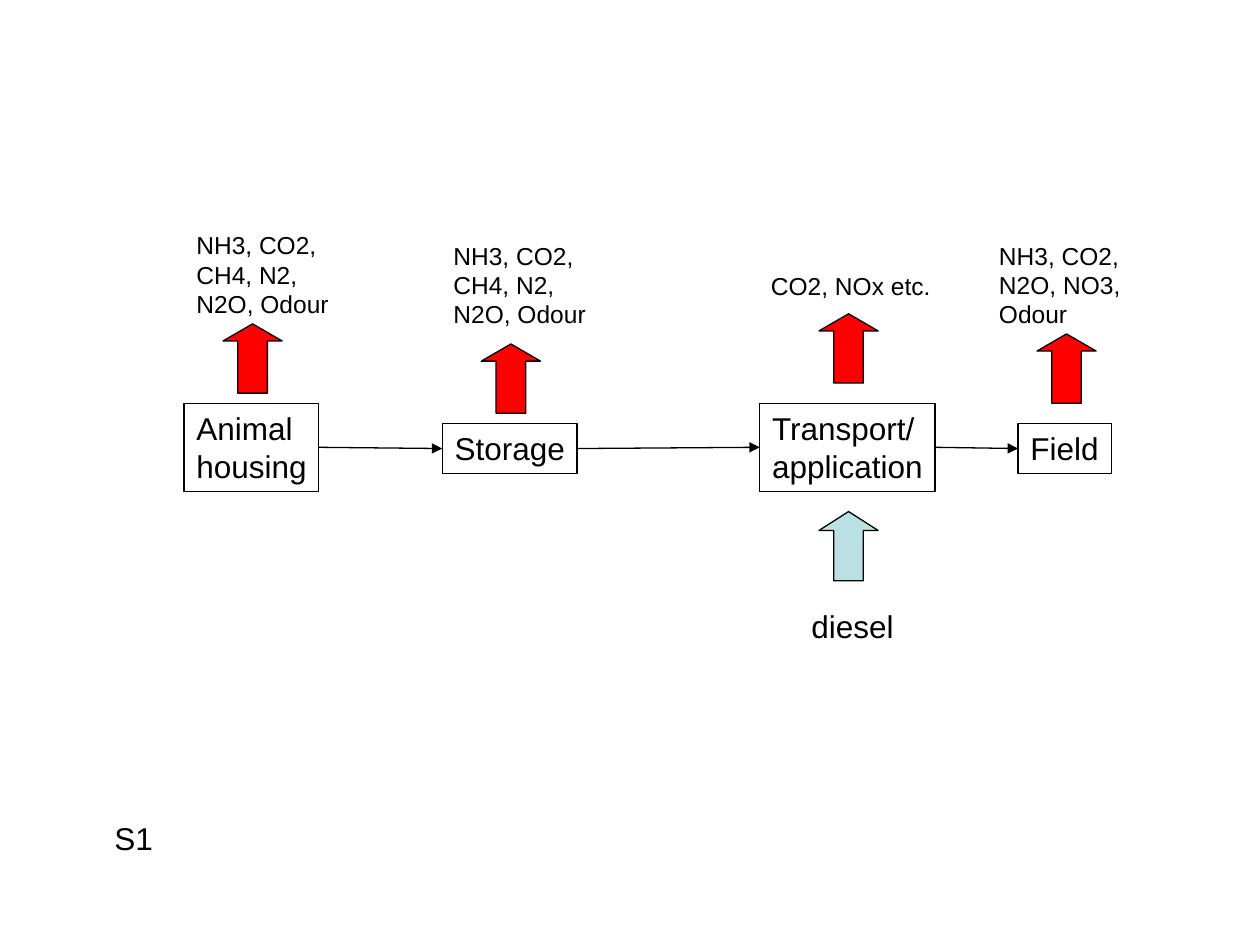
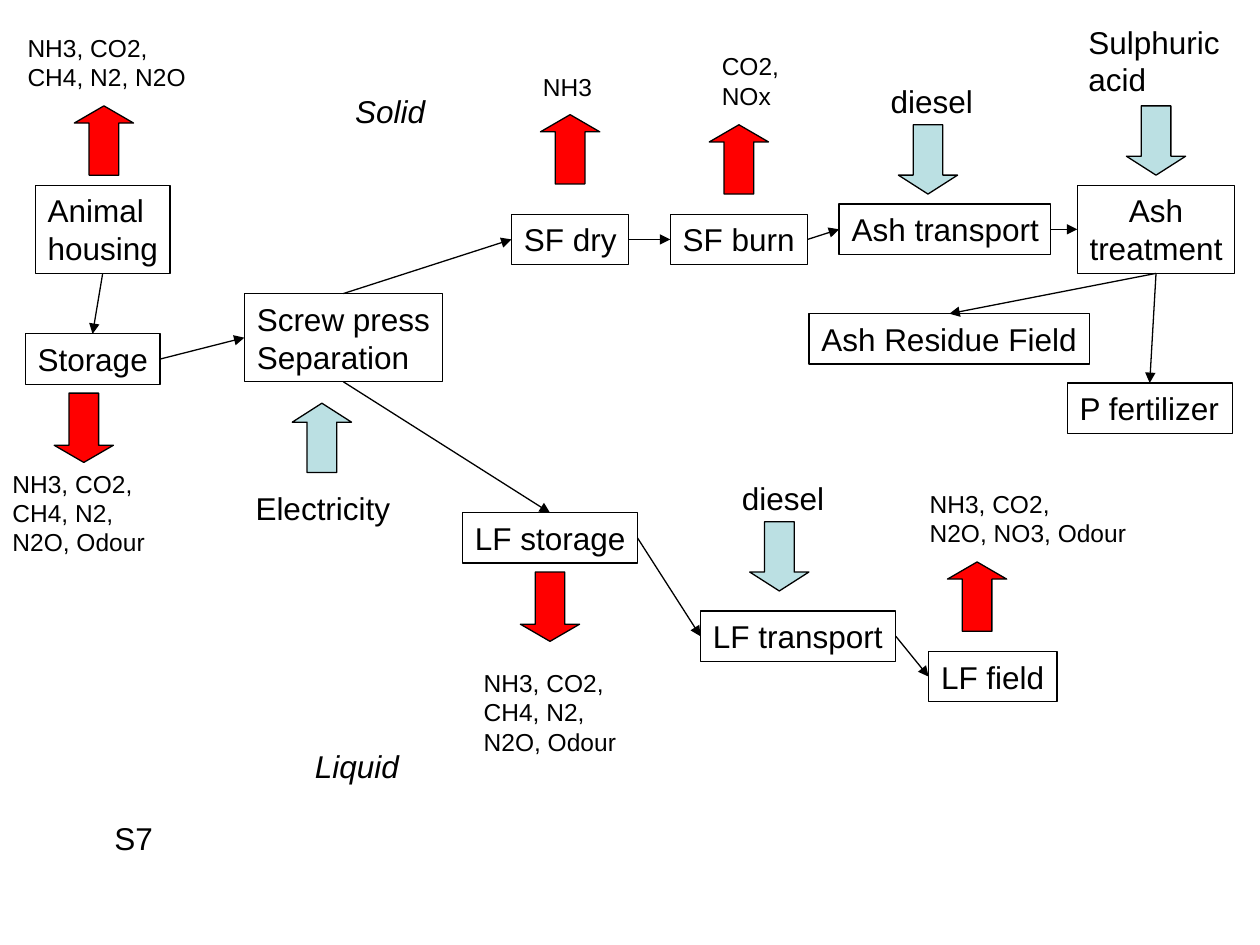
from dataclasses import dataclass
from typing import NamedTuple

from lxml.etree import SubElement
from pptx import Presentation
from pptx.dml.color import RGBColor
from pptx.enum.shapes import MSO_CONNECTOR, MSO_SHAPE
from pptx.enum.text import MSO_ANCHOR, MSO_AUTO_SIZE, PP_ALIGN
from pptx.oxml.ns import qn
from pptx.util import Inches, Pt

BLACK = "000000"
EMISSION, SUPPLY = "FF0000", "BBE0E3"
HEAD = {EMISSION: 0.29, SUPPLY: 0.32}
ARROW_W, ARROW_H = 0.47, 0.55
FONT = "Arial"
STEP_PT, GAS_PT = 18, 14
LINE_HEIGHT = {STEP_PT: 0.3, GAS_PT: 0.235}
SIDE_MARGINS = {PP_ALIGN.LEFT: (0.1, 0), PP_ALIGN.CENTER: (0.05, 0.05)}
FRAME = {
    "margin_top": Inches(0.05), "margin_bottom": Inches(0.05),
    "word_wrap": True, "auto_size": MSO_AUTO_SIZE.NONE,
    "vertical_anchor": MSO_ANCHOR.TOP,
}
TOP, LEFT, BOTTOM, RIGHT = range(4)  # connection sites of a rectangle
GASES = "NH3, CO2,\nCH4, N2,\nN2O, Odour"


class Step(NamedTuple):
    text: str
    left: float
    top: float
    width: float
    align: PP_ALIGN = PP_ALIGN.LEFT


class Label(NamedTuple):
    text: str
    left: float
    top: float
    width: float
    size: int = STEP_PT
    italic: bool = False


class BlockArrow(NamedTuple):
    color: str
    left: float
    top: float
    down: bool = False


class Flow(NamedTuple):
    source: str
    target: str
    exit: int = RIGHT
    entry: int = LEFT


@dataclass
class Scenario:
    name: str
    steps: dict[str, Step]
    flows: list[Flow]
    arrows: list[BlockArrow]
    labels: list[Label]


S1 = Scenario(
    "S1",
    steps={
        "housing": Step("Animal\nhousing", 1.46, 3.2, 1.07),
        "storage": Step("Storage", 3.51, 3.36, 1.07),
        "transport": Step("Transport/\napplication", 6.03, 3.2, 1.39),
        "field": Step("Field", 8.08, 3.36, 0.74),
    },
    flows=[
        Flow("housing", "storage"),
        Flow("storage", "transport"),
        Flow("transport", "field"),
    ],
    arrows=[
        BlockArrow(EMISSION, 1.77, 2.57),
        BlockArrow(EMISSION, 3.82, 2.73),
        BlockArrow(EMISSION, 6.5, 2.49),
        BlockArrow(EMISSION, 8.23, 2.65),
        BlockArrow(SUPPLY, 6.5, 4.06),
    ],
    labels=[
        Label(GASES, 1.46, 1.78, 1.25, GAS_PT),
        Label(GASES, 3.5, 1.86, 1.25, GAS_PT),
        Label("CO2, NOx etc.", 6.02, 2.1, 1.47, GAS_PT),
        Label("NH3, CO2,\nN2O, NO3,\nOdour", 7.83, 1.86, 1.22, GAS_PT),
        Label("diesel", 6.34, 4.77, 0.85),
    ],
)

S7 = Scenario(
    "S7",
    steps={
        "housing": Step("Animal\nhousing", 0.28, 1.47, 1.07),
        "storage": Step("Storage", 0.2, 2.65, 1.07),
        "separation": Step("Screw press\nSeparation", 1.94, 2.33, 1.57),
        "dry": Step("SF dry", 4.06, 1.7, 0.93),
        "burn": Step("SF burn", 5.32, 1.7, 1.09),
        "ash transport": Step("Ash transport", 6.66, 1.62, 1.68),
        "treatment": Step("Ash\ntreatment", 8.55, 1.47, 1.25, PP_ALIGN.CENTER),
        "residue": Step("Ash Residue Field", 6.42, 2.49, 2.23),
        "fertilizer": Step("P fertilizer", 8.47, 3.04, 1.31),
        "LF storage": Step("LF storage", 3.67, 4.07, 1.39),
        "LF transport": Step("LF transport", 5.56, 4.85, 1.55),
        "LF field": Step("LF field", 7.37, 5.17, 1.02),
    },
    flows=[
        Flow("housing", "storage", BOTTOM, TOP),
        Flow("storage", "separation"),
        Flow("separation", "dry", TOP, LEFT),
        Flow("dry", "burn"),
        Flow("burn", "ash transport"),
        Flow("ash transport", "treatment"),
        Flow("treatment", "residue", BOTTOM, TOP),
        Flow("treatment", "fertilizer", BOTTOM, TOP),
        Flow("separation", "LF storage", BOTTOM, TOP),
        Flow("LF storage", "LF transport"),
        Flow("LF transport", "LF field"),
    ],
    arrows=[
        BlockArrow(EMISSION, 0.59, 0.84),
        BlockArrow(EMISSION, 0.43, 3.12, down=True),
        BlockArrow(EMISSION, 4.29, 0.91),
        BlockArrow(EMISSION, 5.63, 0.99),
        BlockArrow(EMISSION, 4.13, 4.54, down=True),
        BlockArrow(EMISSION, 7.52, 4.46),
        BlockArrow(SUPPLY, 2.32, 3.2),
        BlockArrow(SUPPLY, 7.13, 0.99, down=True),
        BlockArrow(SUPPLY, 8.94, 0.84, down=True),
        BlockArrow(SUPPLY, 5.95, 4.14, down=True),
    ],
    labels=[
        Label("NH3, CO2,\nCH4, N2, N2O", 0.12, 0.21, 1.45, GAS_PT),
        Label(GASES, 0, 3.67, 1.25, GAS_PT),
        Label("NH3", 4.21, 0.52, 0.59, GAS_PT),
        Label("CO2,\nNOx", 5.63, 0.36, 0.65, GAS_PT),
        Label(GASES, 3.74, 5.25, 1.25, GAS_PT),
        Label("NH3, CO2,\nN2O, NO3, Odour", 7.28, 3.83, 1.76, GAS_PT),
        Label("Electricity", 1.93, 3.83, 1.27),
        Label("diesel", 6.97, 0.6, 0.85),
        Label("diesel", 5.79, 3.75, 0.85),
        Label("Sulphuric acid", 8.54, 0.13, 1.46),
        Label("Solid", 2.72, 0.68, 0.75, italic=True),
        Label("Liquid", 2.4, 5.88, 0.86, italic=True),
    ],
)


def rgb(color: str) -> RGBColor:
    return RGBColor.from_string(color)


def set_line(shape) -> None:
    shape.line.color.rgb = rgb(BLACK)
    shape.line.width = Pt(0.75)


def text_height(text: str, size: int) -> float:
    return 0.1 + LINE_HEIGHT[size] * len(text.split("\n"))


def write(shape, text: str, size: int = STEP_PT, italic: bool = False,
          align: PP_ALIGN = PP_ALIGN.LEFT) -> None:
    tf = shape.text_frame
    tf.text = text
    for name, value in FRAME.items():
        setattr(tf, name, value)
    tf.margin_left, tf.margin_right = map(Inches, SIDE_MARGINS[align])
    font = {"name": FONT, "size": Pt(size), "italic": italic}
    for p in tf.paragraphs:
        p.alignment = align
        for r in p.runs:
            for name, value in font.items():
                setattr(r.font, name, value)
            r.font.color.rgb = rgb(BLACK)


def add_step(s, step: Step):
    sp = s.shapes.add_shape(
        MSO_SHAPE.RECTANGLE, Inches(step.left), Inches(step.top),
        Inches(step.width), Inches(text_height(step.text, STEP_PT)))
    sp.shadow.inherit = False
    sp.fill.background()
    set_line(sp)
    write(sp, step.text, align=step.align)
    return sp


def add_label(s, label: Label) -> None:
    sp = s.shapes.add_textbox(
        Inches(label.left), Inches(label.top), Inches(label.width),
        Inches(text_height(label.text, label.size)))
    write(sp, label.text, label.size, label.italic)


def add_block_arrow(s, arrow: BlockArrow) -> None:
    sp = s.shapes.add_shape(
        MSO_SHAPE.UP_ARROW, Inches(arrow.left), Inches(arrow.top),
        Inches(ARROW_W), Inches(ARROW_H))
    sp.shadow.inherit = False
    sp.adjustments[1] = HEAD[arrow.color]
    sp.rotation = 180 if arrow.down else 0
    sp.fill.solid()
    sp.fill.fore_color.rgb = rgb(arrow.color)
    set_line(sp)


def add_flow(s, source, target, flow: Flow) -> None:
    cxn = s.shapes.add_connector(MSO_CONNECTOR.STRAIGHT, 0, 0, 0, 0)
    cxn.begin_connect(source, flow.exit)
    cxn.end_connect(target, flow.entry)
    set_line(cxn)
    SubElement(cxn.line._get_or_add_ln(), qn("a:tailEnd"), type="triangle")
    SubElement(cxn._element.spPr, qn("a:effectLst"))


def add_scenario(prs, scenario: Scenario) -> None:
    s = prs.slides.add_slide(prs.slide_layouts[6])
    boxes = {key: add_step(s, step) for key, step in scenario.steps.items()}
    for flow in scenario.flows:
        add_flow(s, boxes[flow.source], boxes[flow.target], flow)
    for arrow in scenario.arrows:
        add_block_arrow(s, arrow)
    for label in [*scenario.labels, Label(scenario.name, 0.81, 6.45, 0.5)]:
        add_label(s, label)


def main() -> None:
    prs = Presentation()
    prs.slide_width, prs.slide_height = Inches(10), Inches(7.5)
    for scenario in (S1, S7):
        add_scenario(prs, scenario)
    prs.save("out.pptx")


if __name__ == "__main__":
    main()
